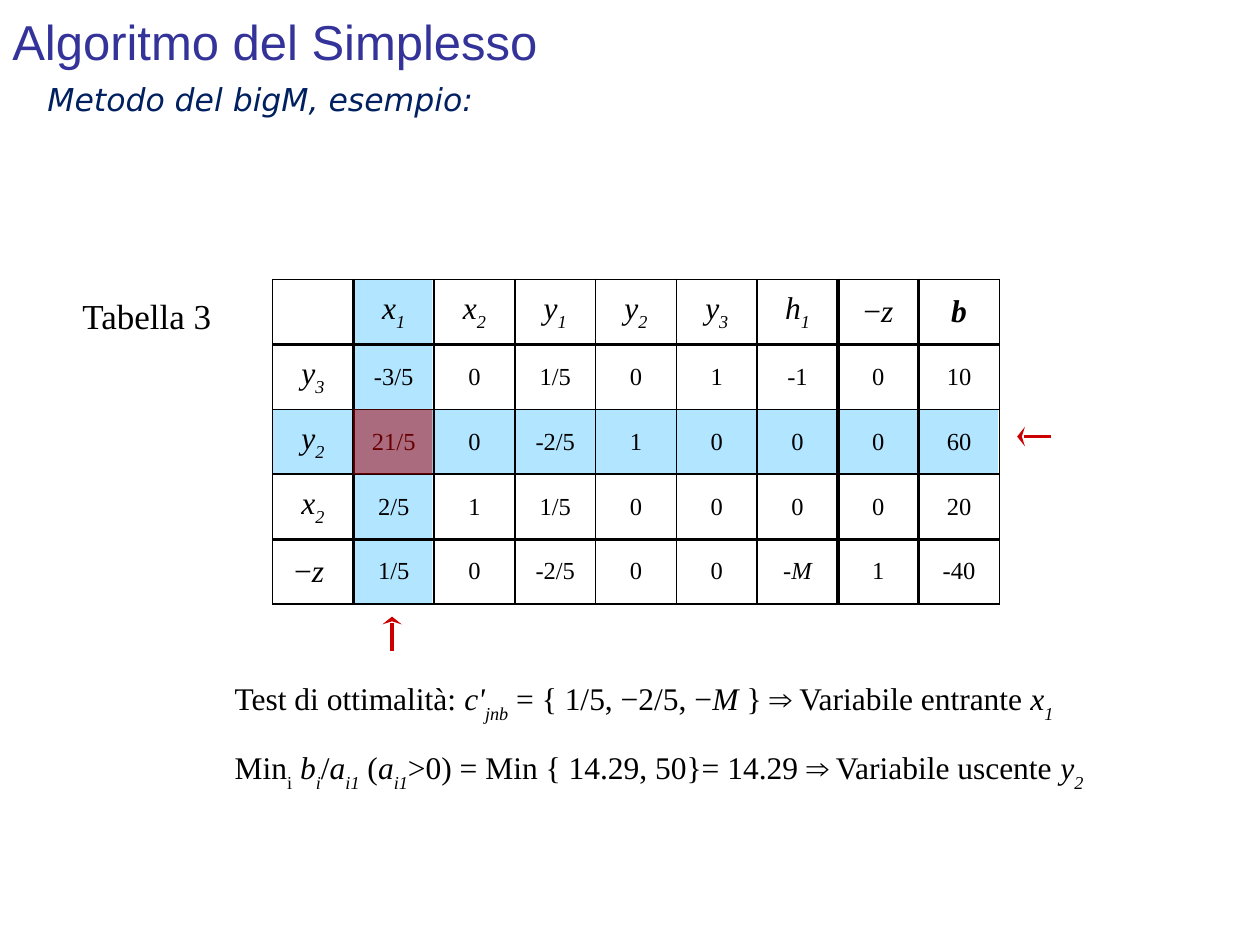
import pptx
import pptx.util
import pptx.dml.color
import pptx.enum.shapes
import pptx.enum.text
import pptx.oxml
import pptx.oxml.ns
from lxml import etree

Pt = pptx.util.Pt
ALIGN = pptx.enum.text.PP_ALIGN
ANCHOR = pptx.enum.text.MSO_ANCHOR

THEME = {
    "title": "333399", "subtitle": "002060", "ink": "000000",
    "highlight": "66CCFF", "accent": "CC0000",
    "heading_font": "Arial", "subtitle_font": "DejaVu Sans", "body_font": "Times New Roman",
    "title_size": 28, "label_size": 20, "body_size": 18, "value_size": 14,
    "thin": 1, "thick": 2.25, "opacity": 50,
    "plain_table": "{2D5ABB26-0587-4C30-8999-92F81FD0307C}",
}


def variable(letter, index):
    return [(letter, "i"), (index, "is")]


TITLE = "Algoritmo del Simplesso"
SUBTITLE = "Metodo del bigM, esempio:"
TABLEAU_LABEL = "Tabella 3"
HEADERS = [
    "", variable("x", "1"), variable("x", "2"), variable("y", "1"), variable("y", "2"),
    variable("y", "3"), variable("h", "1"), [("−", ""), ("z", "i")], [("b", "bi")],
]
GRID_BASIS = ["", variable("y", "2"), variable("x", "2"), [("−", ""), ("z ", "i")]]
VALUES = [
    [variable("y", "3"), "-3/5", "0", "1/5", "0", "1", "-1", "0", "10"],
    ["", "21/5", "0", "-2/5", "1", "0", "0", "0", "60"],
    ["", "2/5", "1", "1/5", "0", "0", "0", "0", "20"],
    ["", "1/5", "0", "-2/5", "0", "0", [("-", ""), ("M", "i")], "1", "-40"],
]
OPTIMALITY_TEST = [
    ("Test di ottimalità: ", ""), ("c'", "i"), ("jnb", "is"), (" = { 1/5, −2/5, −", ""),
    ("M ", "i"), ("} ⇒ Variabile entrante ", ""), *variable("x", "1"),
]
RATIO_TEST = [
    ("Min", ""), ("i", "s"), (" ", ""), *variable("b", "i"), ("/", ""),
    *variable("a", "i1"), (" (", ""), *variable("a", "i1"),
    (">0) = Min { 14.29, 50}= 14.29 ⇒ Variabile uscente ", ""), *variable("y", "2"),
]

TABLEAU_LEFT, TABLEAU_TOP = 155.8, 159.6
COLUMN_WIDTH, ROW_HEIGHT = 46.16, 37.15
ROW_COUNT, COLUMN_COUNT = len(VALUES) + 1, len(HEADERS)
PIVOT_ROW, PIVOT_COLUMN = 2, 1
THICK_AFTER_COLUMNS = {0, 6, 7}
THICK_AFTER_ROWS = {0, 3}
ARROW_GAP, ARROW_LENGTH = 7, 19.5


def rgb(name):
    return pptx.dml.color.RGBColor.from_string(THEME[name])


def write(frame, content, size="body_size", font="body_font", color="ink",
          align=ALIGN.LEFT, italic=False):
    paragraph = frame.paragraphs[0]
    paragraph.alignment = align
    for text, style in [(content, "")] if isinstance(content, str) else content:
        run = paragraph.add_run()
        run.text = text
        run.font.size = Pt(THEME[size])
        run.font.name = THEME[font]
        run.font.color.rgb = rgb(color)
        run.font.italic = italic or "i" in style
        run.font.bold = "b" in style
        if "s" in style:
            run.font._element.set("baseline", "-30000")


def add_text(slide, content, left, top, width, height, anchor=ANCHOR.TOP, grow=True, **style):
    box = slide.shapes.add_textbox(Pt(left), Pt(top), Pt(width), Pt(height))
    frame = box.text_frame
    frame.word_wrap = True
    frame.vertical_anchor = anchor
    if grow:
        frame.auto_size = pptx.enum.text.MSO_AUTO_SIZE.SHAPE_TO_FIT_TEXT
    write(frame, content, **style)


def add_tint(slide, color, column, row, columns=1, rows=1):
    tint = slide.shapes.add_shape(
        pptx.enum.shapes.MSO_SHAPE.RECTANGLE,
        Pt(TABLEAU_LEFT + column * COLUMN_WIDTH), Pt(TABLEAU_TOP + row * ROW_HEIGHT),
        Pt(columns * COLUMN_WIDTH - 1), Pt(rows * ROW_HEIGHT))
    tint.shadow.inherit = False
    tint.fill.solid()
    tint.fill.fore_color.rgb = rgb(color)
    tint.line.fill.background()
    for fill_color in tint._element.spPr.iter(pptx.oxml.ns.qn("a:srgbClr")):
        alpha = etree.SubElement(fill_color, pptx.oxml.ns.qn("a:alpha"))
        alpha.set("val", str(THEME["opacity"] * 1000))


def add_border(cell, side, weight):
    cell._tc.get_or_add_tcPr().append(pptx.oxml.parse_xml(
        f'<a:ln{side} {pptx.oxml.ns.nsdecls("a")} w="{Pt(THEME[weight])}">'
        f'<a:solidFill><a:srgbClr val="{THEME["ink"]}"/></a:solidFill></a:ln{side}>'))


def weight_at(index, thick_after):
    return "thick" if index in thick_after else "thin"


def add_tableau(slide, rows, ruled):
    tableau = slide.shapes.add_table(
        ROW_COUNT, COLUMN_COUNT, Pt(TABLEAU_LEFT), Pt(TABLEAU_TOP),
        Pt(COLUMN_COUNT * COLUMN_WIDTH), Pt(ROW_COUNT * ROW_HEIGHT)).table
    tableau.first_row = False
    tableau.horz_banding = False
    for style_id in tableau._tbl.iter(pptx.oxml.ns.qn("a:tableStyleId")):
        style_id.text = THEME["plain_table"]
    for column in tableau.columns:
        column.width = Pt(COLUMN_WIDTH)
    for r, entries in enumerate(rows):
        tableau.rows[r].height = Pt(ROW_HEIGHT)
        for c, entry in enumerate(entries):
            cell = tableau.cell(r, c)
            cell.vertical_anchor = ANCHOR.MIDDLE
            if ruled:
                add_border(cell, "L", weight_at(c - 1, THICK_AFTER_COLUMNS))
                add_border(cell, "R", weight_at(c, THICK_AFTER_COLUMNS))
                add_border(cell, "T", weight_at(r - 1, THICK_AFTER_ROWS))
                add_border(cell, "B", weight_at(r, THICK_AFTER_ROWS))
            cell.fill.background()
            if entry:
                write(cell.text_frame, entry, align=ALIGN.CENTER,
                      size="value_size" if r and c else "body_size")


def add_arrow(slide, tip_x, tip_y, tail_x, tail_y):
    arrow = slide.shapes.add_connector(
        pptx.enum.shapes.MSO_CONNECTOR.STRAIGHT, Pt(tip_x), Pt(tip_y), Pt(tail_x), Pt(tail_y))
    arrow.line.color.rgb = rgb("accent")
    arrow.line.width = Pt(THEME["thick"])
    head = etree.SubElement(arrow.line._get_or_add_ln(), pptx.oxml.ns.qn("a:headEnd"))
    for key, value in [("type", "stealth"), ("w", "lg"), ("len", "sm")]:
        head.set(key, value)
    etree.SubElement(arrow._element.spPr, pptx.oxml.ns.qn("a:effectLst"))


def main():
    deck = pptx.Presentation()
    deck.slide_width, deck.slide_height = Pt(720), Pt(540)
    slide = deck.slides.add_slide(deck.slide_layouts[6])

    blanks = [""] * (COLUMN_COUNT - 1)
    add_tint(slide, "highlight", PIVOT_COLUMN, 0, rows=ROW_COUNT)
    add_tint(slide, "highlight", 0, PIVOT_ROW, columns=COLUMN_COUNT)
    add_tableau(slide, [HEADERS] + [[basis, *blanks] for basis in GRID_BASIS], ruled=True)

    add_text(slide, TABLEAU_LABEL, 40, 164.5, 100, 31, size="label_size")
    for top, test in [(384.5, OPTIMALITY_TEST), (424, RATIO_TEST)]:
        add_text(slide, test, 127, top, 569, 29, align=ALIGN.JUSTIFY)

    add_tableau(slide, [["", *blanks]] + VALUES, ruled=False)
    add_tint(slide, "accent", PIVOT_COLUMN, PIVOT_ROW)

    entering_x = TABLEAU_LEFT + (PIVOT_COLUMN + 0.5) * COLUMN_WIDTH - 1
    entering_y = TABLEAU_TOP + ROW_COUNT * ROW_HEIGHT + ARROW_GAP
    add_arrow(slide, entering_x, entering_y, entering_x, entering_y + ARROW_LENGTH)
    leaving_x = TABLEAU_LEFT + COLUMN_COUNT * COLUMN_WIDTH + ARROW_GAP + 3
    leaving_y = TABLEAU_TOP + (PIVOT_ROW + 0.5) * ROW_HEIGHT - 3
    add_arrow(slide, leaving_x, leaving_y, leaving_x + ARROW_LENGTH, leaving_y)

    add_text(slide, TITLE, 0, -2, 648, 51, anchor=ANCHOR.MIDDLE, grow=False,
             size="title_size", font="heading_font", color="title")
    add_text(slide, SUBTITLE, 20, 42.2, 613.5, 29, font="subtitle_font",
             color="subtitle", italic=True)
    deck.save("out.pptx")


if __name__ == "__main__":
    main()
